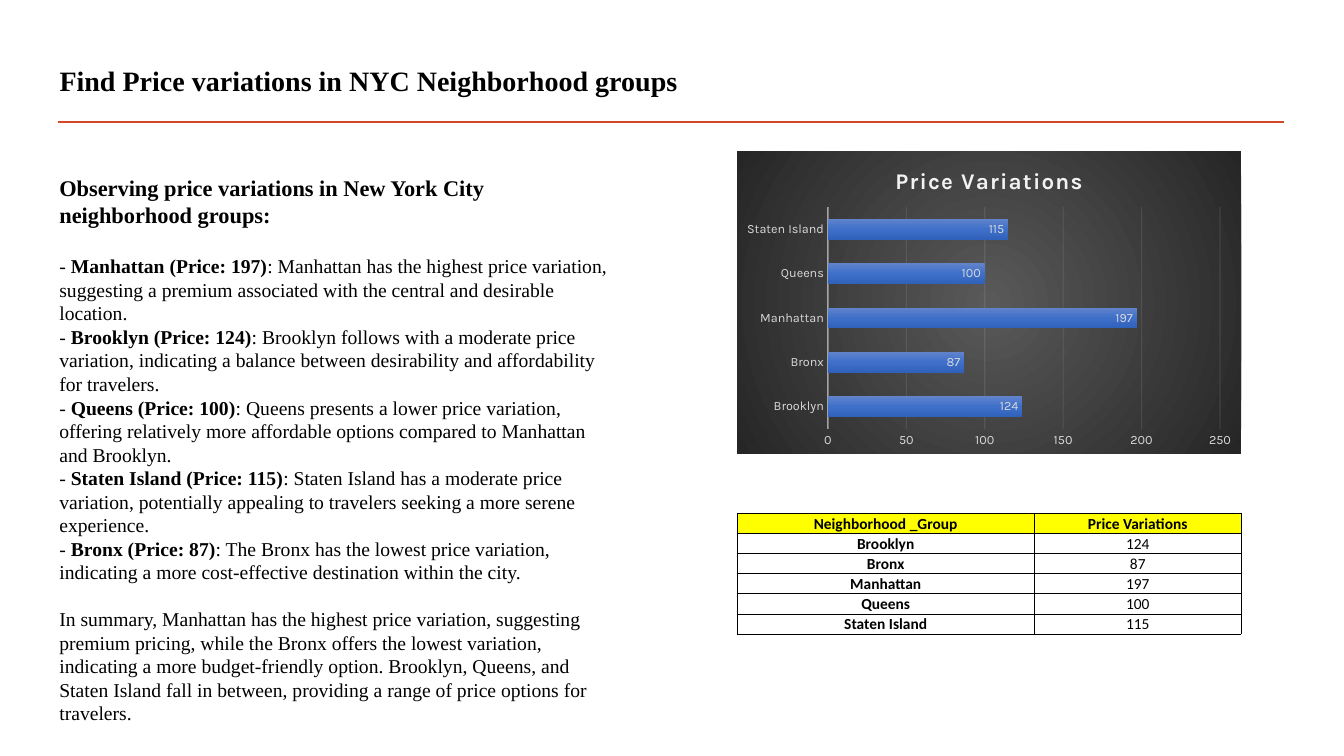
from lxml import etree
from pptx import Presentation
from pptx import util as u
from pptx.chart import data
from pptx.dml.color import RGBColor
from pptx.enum import chart as charts, shapes, text
from pptx.oxml import parse_xml
from pptx.oxml.ns import nsdecls, qn

EMU_PER_PX = 9144
COLORS = {
    "ink": "000000", "accent": "D24726", "header": "FFFF00", "pale": "F2F2F2",
    "label": "D9D9D9", "panel_light": "595959", "panel_dark": "262626",
    "bar_top": "6183CB", "bar_middle": "3E70CA", "bar_bottom": "3062BB",
}
HEADING = "Observing price variations in New York City neighborhood groups:"
FINDINGS = [
    ("Manhattan", 197, "Manhattan has the highest price variation, suggesting a premium "
     "associated with the central and desirable location."),
    ("Brooklyn", 124, "Brooklyn follows with a moderate price variation, indicating a balance "
     "between desirability and affordability for travelers."),
    ("Queens", 100, "Queens presents a lower price variation, offering relatively more "
     "affordable options compared to Manhattan and Brooklyn."),
    ("Staten Island", 115, "Staten Island has a moderate price variation, potentially "
     "appealing to travelers seeking a more serene experience."),
    ("Bronx", 87, "The Bronx has the lowest price variation, indicating a more "
     "cost-effective destination within the city."),
]
SUMMARY = (
    "In summary, Manhattan has the highest price variation, suggesting premium pricing, while "
    "the Bronx offers the lowest variation, indicating a more budget-friendly option. Brooklyn, "
    "Queens, and Staten Island fall in between, providing a range of price options for travelers."
)
PRICES = {name: price for name, price, _ in FINDINGS}
GROUPS = ["Brooklyn", "Bronx", "Manhattan", "Queens", "Staten Island"]


def px(length):
    return u.Emu(length * EMU_PER_PX)


def rgb(name):
    return RGBColor.from_string(COLORS[name])


def format_font(font, size, name, color, bold=False):
    font.size, font.name, font.bold = u.Pt(size), name, bold
    font.color.rgb = rgb(color)


def add_text(paragraph, content, size=14, name="Times New Roman", color="ink", bold=False):
    run = paragraph.add_run()
    run.text = content
    format_font(run.font, size, name, color, bold)
    return run


def gradient(stops, direction):
    marks = "".join(
        f'<a:gs pos="{position * 1000}"><a:srgbClr val="{COLORS[color]}"/></a:gs>'
        for position, color in stops
    )
    return parse_xml(f'<a:gradFill {nsdecls("a")} rotWithShape="1">'
                     f'<a:gsLst>{marks}</a:gsLst>{direction}</a:gradFill>')


def format_line(line, color, width, opacity):
    line.color.rgb = rgb(color)
    line.width = u.Pt(width)
    solid = line.fill._xPr.find(".//" + qn("a:srgbClr"))
    etree.SubElement(solid, qn("a:alpha")).set("val", str(opacity * 1000))


class SlideBuilder:
    table_font = "Calibri"
    chart_font = "Karla"

    def __init__(self, slide):
        self.slide = slide

    def title(self, content, left, top, width, height):
        shape = self.slide.shapes.title
        shape.left, shape.top, shape.width, shape.height = map(px, (left, top, width, height))
        shape.text_frame.vertical_anchor = text.MSO_ANCHOR.MIDDLE
        paragraph = shape.text_frame.paragraphs[0]
        paragraph.alignment = text.PP_ALIGN.LEFT
        paragraph.line_spacing = 0.9
        add_text(paragraph, content, size=20, bold=True)

    def rule(self, left, right, top):
        line = self.slide.shapes.add_connector(
            shapes.MSO_CONNECTOR.STRAIGHT, px(left), px(top), px(right), px(top))
        line.line.color.rgb = rgb("accent")
        line.line.width = u.Pt(2)
        etree.SubElement(line._element.spPr, qn("a:effectLst"))

    def observations(self, left, top, width, height):
        frame = self.slide.shapes.add_textbox(*map(px, (left, top, width, height))).text_frame
        frame.word_wrap = True
        frame.auto_size = text.MSO_AUTO_SIZE.SHAPE_TO_FIT_TEXT
        heading = frame.paragraphs[0]
        heading.space_after = u.Pt(18.7)
        add_text(heading, HEADING, size=16, bold=True)
        for name, price, finding in FINDINGS:
            paragraph = frame.add_paragraph()
            add_text(paragraph, "- ")
            add_text(paragraph, f"{name} (Price: {price})", bold=True)
            add_text(paragraph, f": {finding}")
        summary = frame.add_paragraph()
        summary.space_before = u.Pt(16.8)
        add_text(summary, SUMMARY)

    def table(self, rows, left, top, column_widths, row_height):
        table = self.slide.shapes.add_table(
            len(rows), len(column_widths), px(left), px(top),
            px(sum(column_widths)), px(row_height * len(rows))).table
        table.horz_banding = False
        for column, width in zip(table.columns, column_widths):
            column.width = px(width)
        for row_index, values in enumerate(rows):
            table.rows[row_index].height = px(row_height)
            for column_index, value in enumerate(values):
                is_bold = row_index == 0 or column_index == 0
                self.cell(table.cell(row_index, column_index), str(value), is_bold, row_index == 0)

    def cell(self, cell, content, bold, header):
        cell.margin_left = cell.margin_right = cell.margin_top = px(1)
        cell.margin_bottom = 0
        cell.vertical_anchor = text.MSO_ANCHOR.BOTTOM
        paragraph = cell.text_frame.paragraphs[0]
        paragraph.alignment = text.PP_ALIGN.CENTER
        add_text(paragraph, content, size=11, name=self.table_font, bold=bold)
        if header:
            cell.fill.solid()
            cell.fill.fore_color.rgb = rgb("header")
        else:
            cell.fill.background()
        properties = cell._tc.get_or_add_tcPr()
        for index, side in enumerate(("lnL", "lnR", "lnT", "lnB")):
            properties.insert(index, parse_xml(
                f'<a:{side} {nsdecls("a")} w="6350"><a:solidFill>'
                f'<a:srgbClr val="{COLORS["ink"]}"/></a:solidFill></a:{side}>'))

    def bar_chart(self, title, left, top, width, height):
        chart_data = data.CategoryChartData(number_format="0")
        chart_data.categories = GROUPS
        chart_data.add_series(title, [PRICES[group] for group in GROUPS])
        chart = self.slide.shapes.add_chart(
            charts.XL_CHART_TYPE.BAR_CLUSTERED, *map(px, (left, top, width, height)),
            chart_data).chart
        format_font(chart.font, 10, self.chart_font, "ink")
        chart.has_legend = False
        chart.has_title = True
        run = add_text(chart.chart_title.text_frame.paragraphs[0], title,
                       size=16, name=self.chart_font, color="pale", bold=True)
        run.font._element.set("spc", "100")
        chart.chart_title.include_in_layout = False

        panel = parse_xml(f'<c:spPr {nsdecls("c", "a")}><a:ln><a:noFill/></a:ln></c:spPr>')
        panel.insert(0, gradient(
            [(0, "panel_light"), (100, "panel_dark")],
            '<a:path path="circle"><a:fillToRect l="50000" t="50000" r="50000" b="50000"/></a:path>'))
        chart._chartSpace.find(qn("c:chart")).addnext(panel)

        plot = chart.plots[0]
        plot.gap_width, plot.overlap, plot.vary_by_categories = 115, -20, False
        plot.series[0]._element.get_or_add_spPr().append(gradient(
            [(0, "bar_top"), (50, "bar_middle"), (100, "bar_bottom")],
            '<a:lin ang="5400000" scaled="0"/>'))
        plot.has_data_labels = True
        labels = plot.data_labels
        labels.show_value = True
        labels.position = charts.XL_LABEL_POSITION.INSIDE_END
        labels.number_format, labels.number_format_is_linked = "0", False
        format_font(labels.font, 9, self.chart_font, "label")

        for axis in (chart.category_axis, chart.value_axis):
            axis.major_tick_mark = axis.minor_tick_mark = charts.XL_TICK_MARK.NONE
            format_font(axis.tick_labels.font, 9, self.chart_font, "label")
        format_line(chart.category_axis.format.line, "pale", 1, 54)
        values = chart.value_axis
        values.minimum_scale, values.maximum_scale, values.major_unit = 0, 250, 50
        values.tick_labels.number_format = "0"
        values.tick_labels.number_format_is_linked = False
        values.format.line.fill.background()
        values.has_major_gridlines = True
        format_line(values.major_gridlines.format.line, "pale", 0.75, 10)


def main():
    presentation = Presentation()
    presentation.slide_width, presentation.slide_height = px(1333), px(750)
    builder = SlideBuilder(presentation.slides.add_slide(presentation.slide_layouts[5]))
    builder.rule(58, 1274, 121)
    builder.title("Find Price variations in NYC Neighborhood groups", 49, 47, 1000, 70)
    builder.observations(49, 168, 568, 562)
    rows = [("Neighborhood _Group", "Price Variations")]
    rows += [(group, PRICES[group]) for group in GROUPS]
    builder.table(rows, 731, 509, (295, 205), 20)
    builder.bar_chart("Price Variations", 731, 150, 500, 300)
    presentation.save("out.pptx")


if __name__ == "__main__":
    main()
